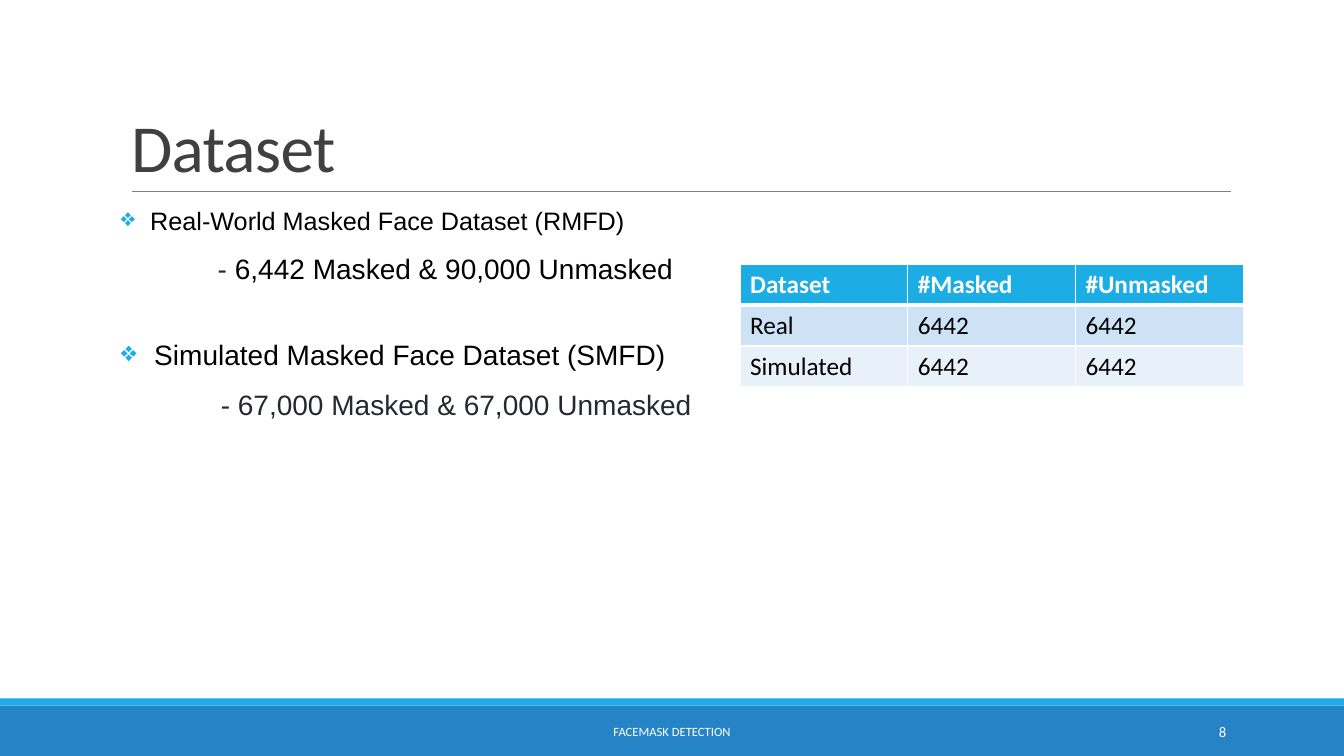
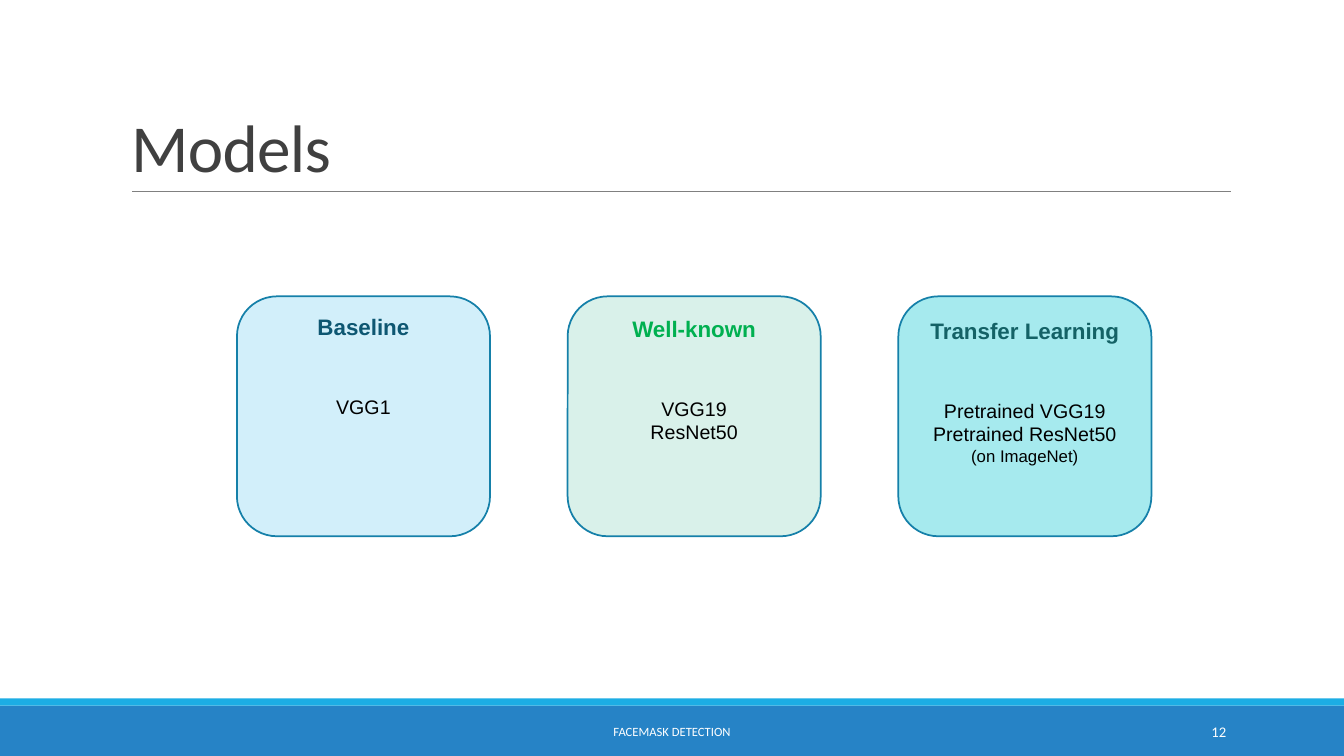
from lxml import etree
from pptx import Presentation
from pptx.dml.color import RGBColor
from pptx.enum.shapes import MSO_CONNECTOR, MSO_SHAPE
from pptx.enum.text import MSO_ANCHOR, MSO_AUTO_SIZE, PP_ALIGN
from pptx.oxml.ns import qn
from pptx.util import Inches, Pt

RECT, ROUND = MSO_SHAPE.RECTANGLE, MSO_SHAPE.ROUNDED_RECTANGLE
STRAIGHT = MSO_CONNECTOR.STRAIGHT
TOP, MIDDLE, BOTTOM = MSO_ANCHOR.TOP, MSO_ANCHOR.MIDDLE, MSO_ANCHOR.BOTTOM
LEFT, CENTER, RIGHT = PP_ALIGN.LEFT, PP_ALIGN.CENTER, PP_ALIGN.RIGHT
FIXED = MSO_AUTO_SIZE.NONE

COLORS = {
    "white": "FFFFFF", "black": "000000", "title": "404040", "rule": "808080",
    "band": "2683C6", "accent": "1CADE4", "ink": "24292F", "edge": "1580A9",
    "row1": "CDE3F5", "row2": "E8F1FA",
    "sky": "D2EFFA", "mint": "D9F1EA", "aqua": "A6EAEE",
    "navy": "0E5772", "green": "00B050", "teal": "146266",
}

FOOTER = "FACEMASK DETECTION"

# Each line: indent, bullet, space before, runs of (text, size, colour)
NOTES = [
    (0.29, "❖", 0, [("Real-World Masked Face Dataset (RMFD)", 18, "black")]),
    (0.96, None, 12, [("- ", 20, "ink"),
                      ("6,442 Masked & 90,000 Unmasked", 20, "black")]),
    (0.33, "❖", 38, [("Simulated Masked Face Dataset (SMFD)", 20, "black")]),
    (0.99, None, 12, [("- 67,000 Masked & 67,000 Unmasked", 20, "ink")]),
]

COUNTS = [
    ("Dataset", "#Masked", "#Unmasked"),
    ("Real", "6442", "6442"),
    ("Simulated", "6442", "6442"),
]

# Each card: heading, heading colour, fill, top inset, lines of (text, size)
CARDS = [
    ("Baseline", "navy", "sky", 0.05, [("VGG1", 14)]),
    ("Well-known", "green", "mint", 0.07, [("VGG19", 14), ("ResNet50", 14)]),
    ("Transfer Learning", "teal", "aqua", 0.09,
     [("Pretrained VGG19", 14), ("Pretrained ResNet50", 14),
      ("(on ImageNet)", 12)]),
]


def color(key):
    return RGBColor.from_string(COLORS[key])


def apply(target, **values):
    for name, value in values.items():
        setattr(target, name, value)


def inches(*sizes):
    return [Inches(size) for size in sizes]


def add_run(para, text, size, hue, face="Calibri", bold=False):
    run = para.add_run()
    run.text = text
    apply(run.font, size=Pt(size), name=face, bold=bold)
    run.font.color.rgb = color(hue)
    return run


def next_para(frame, first):
    return frame.paragraphs[0] if first else frame.add_paragraph()


def add_box(slide, kind, place, fill, edge=None):
    box = slide.shapes.add_shape(kind, *inches(*place))
    box.shadow.inherit = False
    box.fill.solid()
    box.fill.fore_color.rgb = color(fill)
    if edge:
        box.line.color.rgb = color(edge)
        box.line.width = Pt(1.25)
    else:
        box.line.fill.background()
    return box


def add_rule(slide, start, end):
    rule = slide.shapes.add_connector(STRAIGHT, *inches(*start, *end))
    rule.line.color.rgb = color("rule")
    rule.line.width = Pt(0.5)
    etree.SubElement(rule._element.spPr, qn("a:effectLst"))


def add_label(slide, place, text, size, align):
    frame = slide.shapes.add_textbox(*inches(*place)).text_frame
    apply(frame, word_wrap=True, vertical_anchor=MIDDLE)
    para = frame.paragraphs[0]
    para.alignment = align
    add_run(para, text, size, "white")


def add_page(deck, title, number):
    slide = deck.slides.add_slide(deck.slide_layouts[5])
    # Bands and rule
    add_box(slide, RECT, (0, 7, 13.33, 0.5), "band")
    add_box(slide, RECT, (0, 6.93, 13.33, 0.07), "accent")
    add_rule(slide, (1.31, 1.9), (12.21, 1.9))
    # Title
    head = slide.shapes.title
    left, top, width, height = inches(1.2, 0.31, 11, 1.59)
    apply(head, left=left, top=top, width=width, height=height)
    apply(head.text_frame, vertical_anchor=BOTTOM, word_wrap=True,
          auto_size=FIXED)
    para = head.text_frame.paragraphs[0]
    apply(para, alignment=LEFT, line_spacing=0.85)
    run = add_run(para, title, 48, "title")
    run.font._element.set("spc", "-50")
    # Footer
    add_label(slide, (4.03, 7.06, 5.27, 0.4), FOOTER, 9, CENTER)
    add_label(slide, (10.83, 7.06, 1.43, 0.4), number, 10.5, RIGHT)
    return slide


def add_bullet(para, indent, mark):
    props = para._p.get_or_add_pPr()
    props.set("marL", str(Inches(indent)))
    props.set("indent", str(-Inches(indent) if mark else 0))
    if mark:
        tint = etree.SubElement(props, qn("a:buClr"))
        etree.SubElement(tint, qn("a:srgbClr"), val=COLORS["accent"])
        etree.SubElement(props, qn("a:buChar"), char=mark)
    else:
        etree.SubElement(props, qn("a:buNone"))


def add_notes(slide, place, notes):
    frame = slide.shapes.add_textbox(*inches(*place)).text_frame
    apply(frame, word_wrap=True, margin_left=0, margin_right=0)
    for row, (indent, mark, before, runs) in enumerate(notes):
        para = next_para(frame, row == 0)
        add_bullet(para, indent, mark)
        apply(para, line_spacing=0.9, space_before=Pt(before),
              space_after=Pt(2))
        for text, size, hue in runs:
            add_run(para, text, size, hue, "Arial")


def add_borders(cell, widths):
    props = cell._tc.get_or_add_tcPr()
    for side, width in widths.items():
        line = etree.SubElement(props, qn("a:ln" + side), w=str(Pt(width)))
        fill = etree.SubElement(line, qn("a:solidFill"))
        etree.SubElement(fill, qn("a:srgbClr"), val=COLORS["white"])


def add_grid(slide, place, rows):
    shape = slide.shapes.add_table(len(rows), len(rows[0]), *inches(*place))
    fills = ("accent", "row1", "row2")
    for row, texts in enumerate(rows):
        for col, text in enumerate(texts):
            cell = shape.table.cell(row, col)
            add_borders(cell, {"L": 1, "R": 1, "T": 3 if row == 1 else 1,
                               "B": 3 if row == 0 else 1})
            cell.fill.solid()
            cell.fill.fore_color.rgb = color(fills[row])
            add_run(cell.text_frame.paragraphs[0], text, 18,
                    "black" if row else "white", bold=row == 0)


def add_card(slide, place, card):
    title, hue, fill, inset, lines = card
    frame = add_box(slide, ROUND, place, fill, "edge").text_frame
    apply(frame, word_wrap=True, vertical_anchor=TOP,
          margin_top=Inches(inset))
    head = frame.paragraphs[0]
    head.alignment = CENTER
    add_run(head, title, 16, hue, "Arial", True)
    for row, (text, size) in enumerate(lines):
        para = frame.add_paragraph()
        apply(para, alignment=CENTER, space_before=Pt(0 if row else 39))
        add_run(para, text, size, "black", "Arial")


def main():
    deck = Presentation()
    apply(deck, slide_width=Inches(13.33), slide_height=Inches(7.5))

    # Dataset
    slide = add_page(deck, "Dataset", "8")
    add_notes(slide, (1.2, 2.02, 11, 4.4), NOTES)
    add_grid(slide, (7.34, 2.62, 4.99, 1.22), COUNTS)

    # Models
    slide = add_page(deck, "Models", "12")
    for col, card in enumerate(CARDS):
        add_card(slide, (2.35 + 3.28 * col, 2.94, 2.51, 2.38), card)

    deck.save("out.pptx")


if __name__ == "__main__":
    main()
